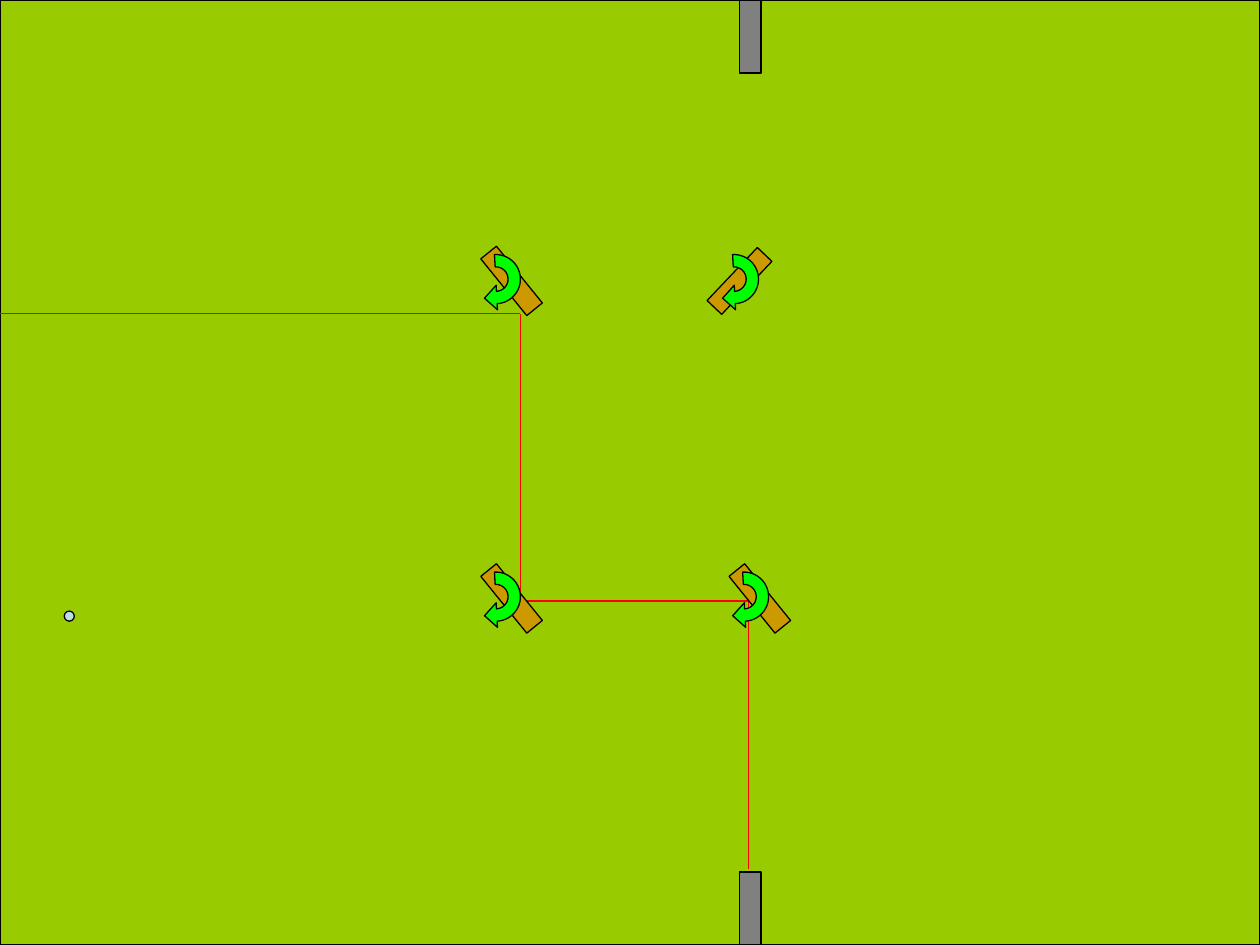
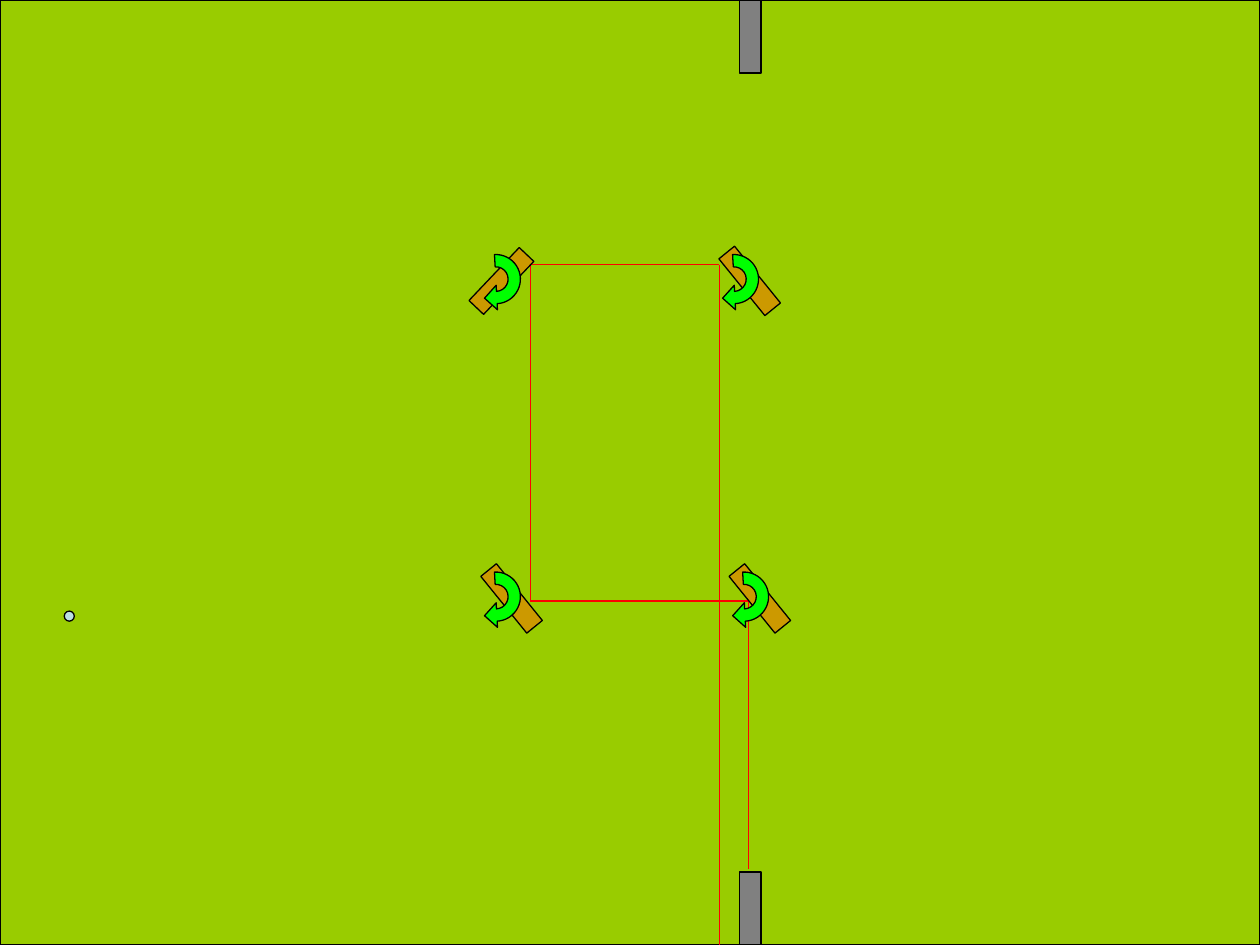
from itertools import pairwise

from lxml import etree
from pptx import Presentation
from pptx.dml.color import RGBColor
from pptx.enum.shapes import MSO_CONNECTOR, MSO_SHAPE
from pptx.oxml.ns import qn
from pptx.util import Inches, Pt

RECTANGLE = MSO_SHAPE.RECTANGLE
OVAL = MSO_SHAPE.OVAL
STRAIGHT = MSO_CONNECTOR.STRAIGHT

WIDTH, HEIGHT = 10, 7.5
GRASS, GATE, MIRROR = "99CC00", "808080", "CC9900"
TURN, BALL, OUTLINE, BEAM = "00FF00", "BBE0E3", "000000", "FF0000"
LINE_WIDTH = 0.75

GATE_LEFT, GATE_WIDTH, GATE_HEIGHT = 5.87, 0.17, 0.58
MIRROR_LENGTH, MIRROR_THICKNESS = 0.58, 0.16
FALLING, RISING = 51, 313.5
MIRROR_SHIFT = {FALLING: 0.03, RISING: -0.05}
MIRROR_DROP = 0.13

TURN_SIZE, TURN_ANGLE = 0.39, 86.9
OUTER = TURN_SIZE / 2
INNER = OUTER / 2
TURN_CORNERS = [
    (OUTER + INNER, OUTER),
    (OUTER, OUTER - INNER),
    (OUTER - INNER, OUTER),
    (0, OUTER),
    (OUTER, 0),
    (TURN_SIZE, OUTER),
    (TURN_SIZE + INNER / 2, OUTER),
    (TURN_SIZE - INNER / 2, OUTER + INNER),
    (OUTER + INNER / 2, OUTER),
]
QUARTER_ARCS = {0: (INNER, 0, -90), 1: (INNER, 270, -90), 3: (OUTER, 180, 90), 4: (OUTER, 270, 90)}
ANGLE_UNIT = 60000

UPPER, LOWER = 2.02, 4.54
LEFT, UPPER_RIGHT, LOWER_RIGHT = 3.74, 5.63, 5.71
LOWER_MIRRORS = [(LEFT, LOWER, FALLING), (LOWER_RIGHT, LOWER, FALLING)]
BEAM_START = [(5.94, 6.9), (5.94, 4.77)]

SCENES = [
    {
        "beam": BEAM_START + [(4.13, 4.77), (4.13, 2.49), (0, 2.49)],
        "mirrors": [(LEFT, UPPER, FALLING), (UPPER_RIGHT, UPPER, RISING)],
    },
    {
        "beam": BEAM_START + [(4.21, 4.77), (4.21, 2.1), (5.71, 2.1), (5.71, HEIGHT)],
        "mirrors": [(LEFT, UPPER, RISING), (UPPER_RIGHT, UPPER, FALLING)],
    },
]


def colour(value):
    return RGBColor.from_string(value)


def paint(shape, fill):
    shape.shadow.inherit = False
    shape.fill.solid()
    shape.fill.fore_color.rgb = colour(fill)
    shape.line.color.rgb = colour(OUTLINE)
    shape.line.width = Pt(LINE_WIDTH)


def add_filled(shapes, kind, box, fill):
    shape = shapes.add_shape(kind, *map(Inches, box))
    paint(shape, fill)
    return shape


def draw_field(slide):
    add_filled(slide.shapes, RECTANGLE, (0, 0, WIDTH, HEIGHT), GRASS)
    for top in (HEIGHT - GATE_HEIGHT, 0):
        add_filled(slide.shapes, RECTANGLE, (GATE_LEFT, top, GATE_WIDTH, GATE_HEIGHT), GATE)


def draw_beam(slide, corners):
    for start, end in pairwise(corners):
        ray = slide.shapes.add_connector(STRAIGHT, *map(Inches, start + end))
        ray.line.color.rgb = colour(BEAM)
        ray.line.width = Pt(LINE_WIDTH)
        etree.SubElement(ray._element.spPr, qn("a:effectLst"))


def round_corners(turn):
    outline = next(turn._element.iter(qn("a:path")))
    outline.set("w", str(Inches(TURN_SIZE)))
    outline.set("h", str(Inches(TURN_SIZE)))
    edges = outline.findall(qn("a:lnTo"))
    for index, (radius, start, sweep) in QUARTER_ARCS.items():
        curve = etree.Element(qn("a:arcTo"))
        curve.set("wR", str(Inches(radius)))
        curve.set("hR", str(Inches(radius)))
        curve.set("stAng", str(start * ANGLE_UNIT))
        curve.set("swAng", str(sweep * ANGLE_UNIT))
        outline.replace(edges[index], curve)


def draw_turn(shapes, left, top):
    points = [(Inches(left + x), Inches(top + y)) for x, y in TURN_CORNERS]
    builder = shapes.build_freeform(*points[0])
    builder.add_line_segments(points[1:], close=True)
    turn = builder.convert_to_shape()
    turn.width = turn.height = Inches(TURN_SIZE)
    round_corners(turn)
    turn.rotation = TURN_ANGLE
    paint(turn, TURN)


def draw_mirror(slide, left, top, angle):
    group = slide.shapes.add_group_shape()
    mirror_box = (left + MIRROR_SHIFT[angle], top + MIRROR_DROP, MIRROR_LENGTH, MIRROR_THICKNESS)
    mirror = add_filled(group.shapes, RECTANGLE, mirror_box, MIRROR)
    mirror.rotation = angle
    draw_turn(group.shapes, left, top)


def draw_scene(presentation, scene):
    slide = presentation.slides.add_slide(presentation.slide_layouts[6])
    draw_field(slide)
    draw_beam(slide, scene["beam"])
    add_filled(slide.shapes, OVAL, (0.51, 4.85, 0.08, 0.08), BALL)
    for left, top, angle in scene["mirrors"] + LOWER_MIRRORS:
        draw_mirror(slide, left, top, angle)


def main():
    presentation = Presentation()
    presentation.slide_width = Inches(WIDTH)
    presentation.slide_height = Inches(HEIGHT)
    for scene in SCENES:
        draw_scene(presentation, scene)
    presentation.save("out.pptx")


if __name__ == "__main__":
    main()
